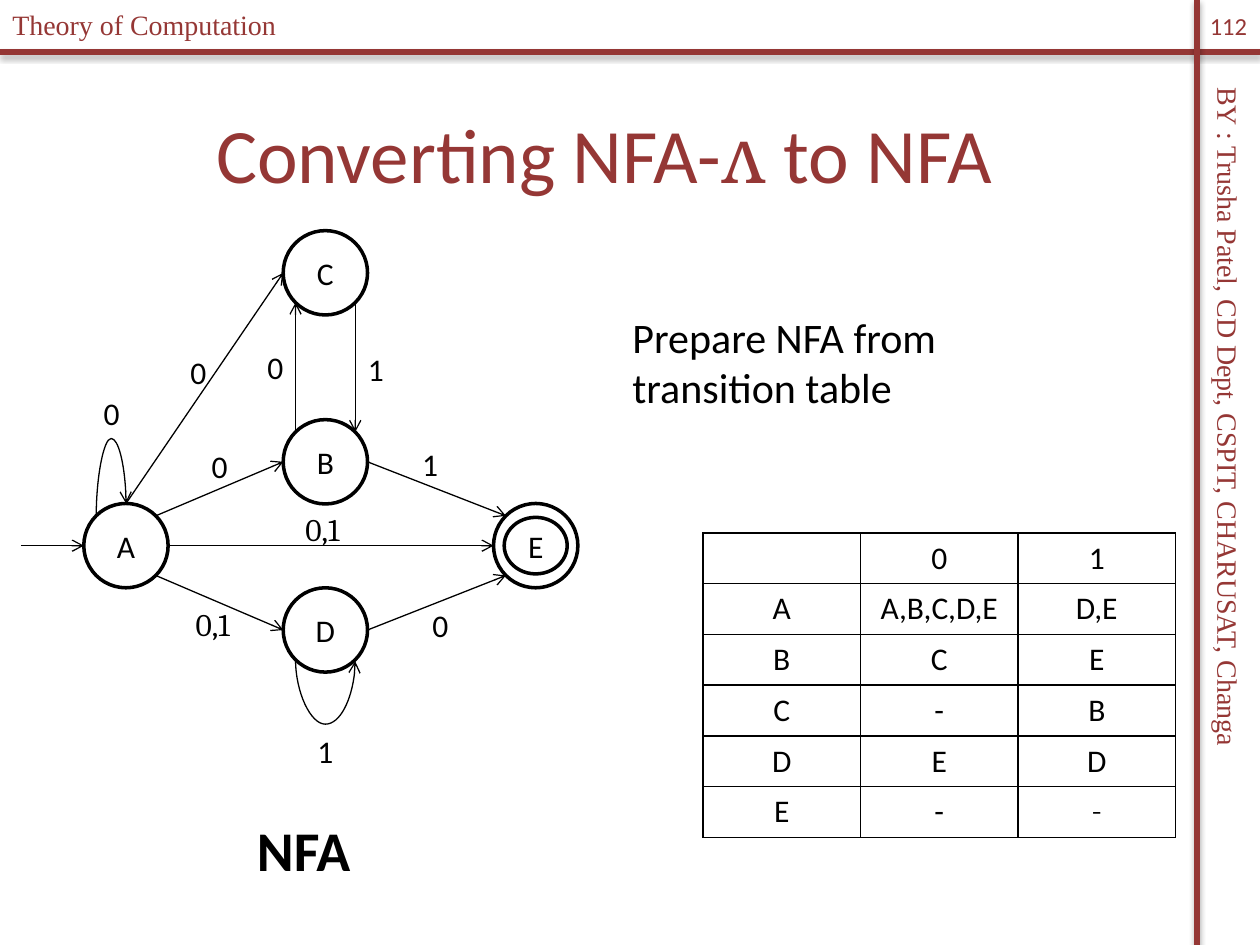
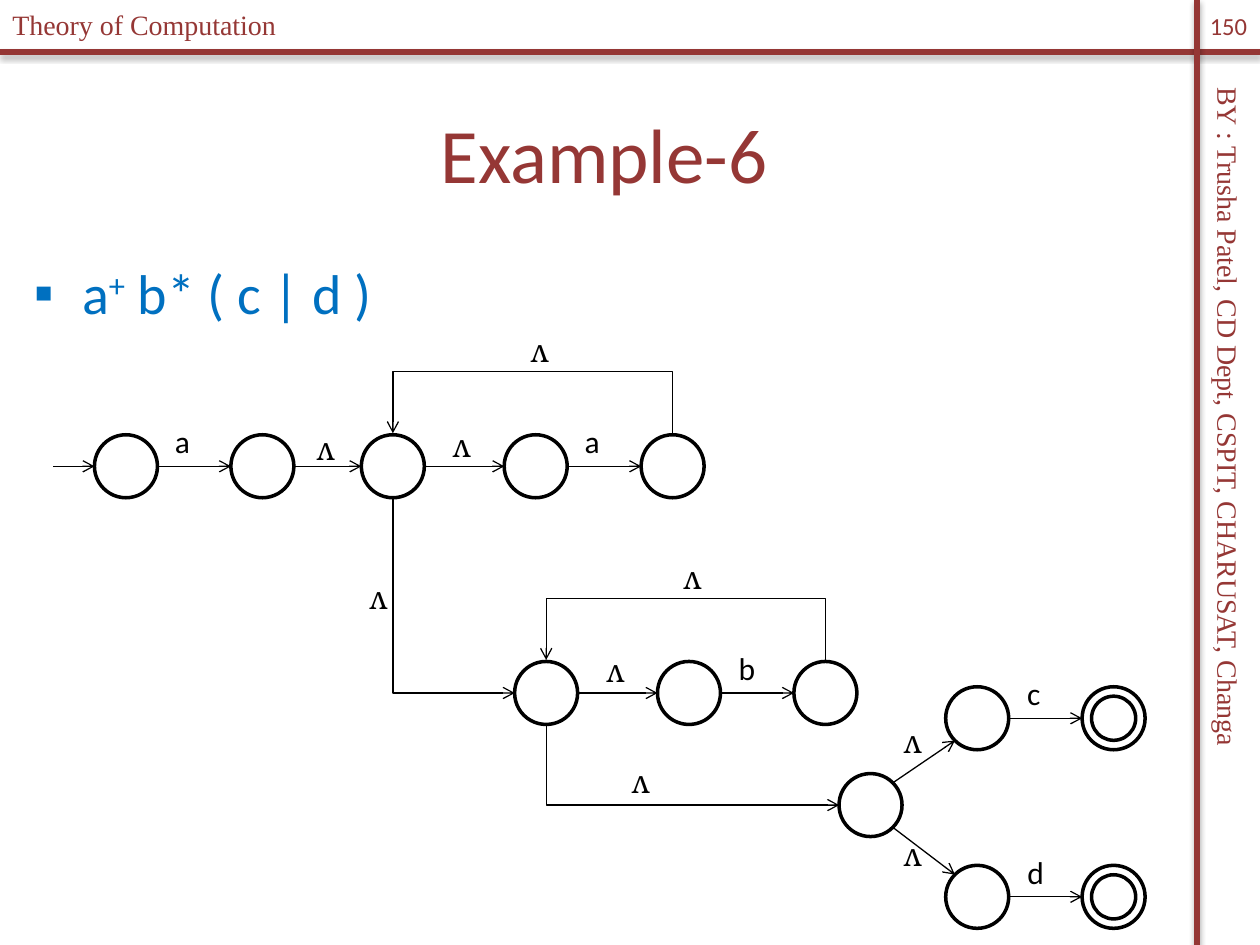
from dataclasses import dataclass
from math import copysign, sqrt

from lxml import etree
from pptx import Presentation
from pptx.dml.color import RGBColor
from pptx.enum.shapes import MSO_CONNECTOR as Link, MSO_SHAPE as Preset
from pptx.enum.text import MSO_ANCHOR as Anchor, PP_ALIGN as Align
from pptx.oxml import parse_xml
from pptx.oxml.ns import nsdecls, qn
from pptx.util import Cm, Pt

MAROON, BLACK, WHITE, BLUE = "953735", "000000", "FFFFFF", "0070C0"
SANS, SERIF, ROMAN = "Calibri", "Cambria", "Times New Roman"
LAMBDA = "ʌ"
DIAGONAL = sqrt(0.5)
SIDES = {
    "n": (0, -1), "s": (0, 1), "w": (-1, 0), "e": (1, 0),
    "nw": (-DIAGONAL, -DIAGONAL), "ne": (DIAGONAL, -DIAGONAL),
    "sw": (-DIAGONAL, DIAGONAL), "se": (DIAGONAL, DIAGONAL),
}


@dataclass
class Box:
    """An area in centimetres."""
    left: float
    top: float
    width: float
    height: float

    def inner(self, left, top, width, height):
        return Box(self.left + left, self.top + top, width, height)

    def around(self, x, y, width, height):
        return self.inner(x - width / 2, y - height / 2, width, height)

    def lengths(self):
        return [Cm(side) for side in (self.left, self.top, self.width, self.height)]


PAGE = Box(0, 0, 25.4, 19.05)
TITLE = Box(0.43, 1.48, 23.5, 3.18)
BODY = Box(0.43, 5.08, 23.5, 13.34)


def color(hex_text):
    return RGBColor.from_string(hex_text)


def add_span(para, text, size, hue=BLACK, font=SANS, bold=False):
    span = para.add_run()
    span.text = text
    span.font.size, span.font.name, span.font.bold = Pt(size), font, bold
    span.font.color.rgb = color(hue)
    return span


def add_text(page, box, lines, size, hue=BLACK, font=SANS, bold=False, centred=False):
    shape = page.shapes.add_textbox(*box.lengths())
    frame = shape.text_frame
    frame.word_wrap = True
    if centred:
        frame.margin_left = frame.margin_right = 0
        frame.vertical_anchor = Anchor.MIDDLE
    for number, line in enumerate(lines):
        para = frame.add_paragraph() if number else frame.paragraphs[0]
        para.alignment = Align.CENTER if centred else Align.LEFT
        add_span(para, line, size, hue, font, bold)
    return shape


def style_line(line, hue, width, shadow=""):
    line.line.color.rgb = color(hue)
    line.line.width = Pt(width)
    line._element.spPr.append(
        parse_xml(f'<a:effectLst {nsdecls("a")}>{shadow}</a:effectLst>'))


def style_arrow(line):
    style_line(line, BLACK, 0.75)
    etree.SubElement(line.line._get_or_add_ln(), qn("a:tailEnd"), type="arrow")


def add_straight(page, kind, start, end):
    return page.shapes.add_connector(kind, *[Cm(value) for value in (*start, *end)])


def add_routed_arrow(page, kind, start, end, bend=None):
    """Leave start vertically; turn at height bend, or at the end's height."""
    (x1, y1), (x2, y2) = start, end
    if y1 == y2:
        y2 += copysign(0.03, bend - y1)
    run, rise = x2 - x1, y2 - y1
    line = add_straight(page, kind, start, end)
    frame = Box((x1 + x2 - abs(rise)) / 2, (y1 + y2 - abs(run)) / 2, abs(rise), abs(run))
    line.left, line.top, line.width, line.height = frame.lengths()
    up_right = run > 0 > rise
    xfrm = line._element.spPr.find(qn("a:xfrm"))
    xfrm.set("rot", str((90 if up_right else 270) * 60000))
    xfrm.set("flipH", str(int(rise > 0 or up_right)))
    xfrm.set("flipV", str(int(run < 0 or up_right)))
    geometry = line._element.spPr.find(qn("a:prstGeom"))
    if bend is None:
        geometry.set("prst", "bentConnector2")
    else:
        guides = geometry.get_or_add_avLst()
        share = round((bend - y1) / rise * 100000)
        etree.SubElement(guides, qn("a:gd"), name="adj1", fmla=f"val {share}")
    style_arrow(line)


def add_circle(page, box, text=""):
    circle = page.shapes.add_shape(Preset.OVAL, *box.lengths())
    circle.shadow.inherit = False
    circle.fill.solid()
    circle.fill.fore_color.rgb = color(WHITE)
    circle.line.color.rgb = color(BLACK)
    circle.line.width = Pt(2)
    if text:
        frame = circle.text_frame
        frame.word_wrap = False
        frame.vertical_anchor = Anchor.MIDDLE
        frame.paragraphs[0].alignment = Align.CENTER
        add_span(frame.paragraphs[0], text, 18)


class Automaton:
    """A state diagram inside a box; states maps names to centres in that box."""

    def __init__(self, page, box, states, radius, ring, finals, named):
        self.page, self.box, self.states, self.radius = page, box, states, radius
        for name, centre in states.items():
            text = name if named else ""
            final = name in finals
            add_circle(page, box.around(*centre, 2 * radius, 2 * radius),
                       "" if final else text)
            if final:
                add_circle(page, box.around(*centre, *ring), text)

    def rim(self, name, side):
        (x, y), (across, down) = self.states[name], SIDES[side]
        return (self.box.left + x + across * self.radius,
                self.box.top + y + down * self.radius)

    def enter(self, name):
        end = self.rim(name, "w")
        style_arrow(add_straight(self.page, Link.STRAIGHT, (self.box.left, end[1]), end))

    def label(self, text, spot):
        font = SERIF if text in (LAMBDA, "0,1") else SANS
        add_text(self.page, self.box.around(*spot, 1.8, 1.02), [text], 18,
                 font=font, centred=True)

    def straight(self, start, side, end, end_side, text, spot):
        style_arrow(add_straight(self.page, Link.STRAIGHT,
                                 self.rim(start, side), self.rim(end, end_side)))
        self.label(text, spot)

    def routed(self, kind, start, side, end, end_side, text, spot, bend=None):
        height = None if bend is None else self.box.top + bend
        add_routed_arrow(self.page, kind, self.rim(start, side),
                         self.rim(end, end_side), height)
        self.label(text, spot)


def draw_nfa(page, box):
    states = {"A": (2.12, 6.35), "B": (6.14, 4.66), "C": (6.14, 0.85),
              "D": (6.14, 8.05), "E": (10.38, 6.35)}
    nfa = Automaton(page, box, states, 0.85, (1.27, 1.14), "E", named=True)
    nfa.enter("A")
    for arrow in (
        ("A", "ne", "B", "w", "0", (4.01, 4.75)),
        ("A", "se", "D", "w", "0,1", (3.87, 7.92)),
        ("D", "e", "E", "sw", "0", (8.46, 7.95)),
        ("B", "e", "E", "nw", "1", (8.25, 4.7)),
        ("B", "nw", "C", "sw", "0", (5.13, 2.74)),
        ("C", "se", "B", "ne", "1", (7.16, 2.79)),
        ("A", "e", "E", "w", "0,1", (6.08, 6.02)),
        ("A", "n", "C", "w", "0", (3.58, 2.84)),
    ):
        nfa.straight(*arrow)
    nfa.routed(Link.CURVE, "A", "nw", "A", "n", "0", (1.83, 3.68), 4.19)
    nfa.routed(Link.CURVE, "D", "sw", "D", "se", "1", (6.14, 10.49), 9.95)
    add_text(page, box.inner(4.51, 11.66, 3, 1.62), ["NFA"], 32, bold=True)


def draw_regex_automaton(page, box):
    rows = {"a": (2.85, (1.47, 4.22, 6.85, 9.73, 12.49)),
            "b": (7.42, (9.94, 12.82, 15.57)),
            "fork": (9.68, (16.48,)),
            "c": (7.93, (18.63, 21.38)),
            "d": (11.53, (18.63, 21.38))}
    states = {f"{row}{number}": (x, y) for row, (y, xs) in rows.items()
              for number, x in enumerate(xs, 1)}
    machine = Automaton(page, box, states, 0.635, (0.89, 0.89), ("c2", "d2"), named=False)
    machine.enter("a1")
    for start, end, text, spot in (
        ("a1", "a2", "a", (2.61, 2.34)),
        ("a2", "a3", LAMBDA, (5.5, 2.49)),
        ("a3", "a4", LAMBDA, (8.24, 2.42)),
        ("a4", "a5", "a", (10.87, 2.34)),
        ("b1", "b2", LAMBDA, (11.34, 6.96)),
        ("b2", "b3", "b", (13.99, 6.91)),
        ("c1", "c2", "c", (19.77, 7.42)),
        ("d1", "d2", "d", (19.81, 11.03)),
    ):
        machine.straight(start, "e", end, "w", text, spot)
    machine.straight("fork1", "ne", "c1", "sw", LAMBDA, (17.33, 8.39))
    machine.straight("fork1", "se", "d1", "nw", LAMBDA, (17.33, 10.67))
    for arrow in (
        ("a5", "n", "a3", "n", LAMBDA, (9.81, 0.51), 0.94),
        ("b3", "n", "b1", "n", LAMBDA, (12.89, 5.08), 5.52),
        ("a3", "s", "b1", "w", LAMBDA, (6.56, 5.49)),
        ("b1", "s", "fork1", "w", LAMBDA, (11.85, 9.2)),
    ):
        machine.routed(Link.ELBOW, *arrow)


def draw_transition_table(page, box):
    rows = (("", "0", "1"), ("A", "A,B,C,D,E", "D,E"), ("B", "C", "E"),
            ("C", "-", "B"), ("D", "E", "D"), ("E", "-", "-"))
    table = page.shapes.add_table(len(rows), 3, *box.lengths()).table
    for row, texts in enumerate(rows):
        for column, text in enumerate(texts):
            cell = table.cell(row, column)
            properties = cell._tc.get_or_add_tcPr()
            for edge in ("lnL", "lnR", "lnT", "lnB"):
                properties.append(parse_xml(
                    f'<a:{edge} {nsdecls("a")} w="12700"><a:solidFill>'
                    f'<a:srgbClr val="{BLACK}"/></a:solidFill></a:{edge}>'))
            cell.fill.background()
            para = cell.text_frame.paragraphs[0]
            para.alignment = Align.CENTER
            if text:
                last = (row, column) == (len(rows) - 1, 2)
                add_span(para, text, 18, font=SERIF if last else SANS)


def dress_master(deck, page, box):
    """Draw the bands and credits on page, then hand them to the master."""
    shadow = ('<a:outerShdw blurRad="40000" dist="23000" dir="5400000" rotWithShape="0">'
              f'<a:srgbClr val="{BLACK}"><a:alpha val="35000"/></a:srgbClr></a:outerShdw>')
    across, down = 1.05, 24.13
    bands = [
        add_straight(page, Link.STRAIGHT, (box.left, across), (box.width, across)),
        add_straight(page, Link.STRAIGHT, (down, box.top), (down, box.height)),
    ]
    for band in bands:
        style_line(band, MAROON, 3, shadow)
    author = add_text(page, box.inner(16.61, 9.19, 16.3, 0.94),
                      ["BY : Trusha Patel, CD Dept, CSPIT, CHARUSAT, Changa"],
                      16, MAROON, ROMAN)
    author.rotation = 90
    course = add_text(page, box.inner(0, 0.03, 8.36, 0.94),
                      ["Theory of Computation"], 16, MAROON, ROMAN)
    for shape in (*bands, author, course):
        deck.slide_master.shapes._spTree.append(shape._element)


def start_page(deck, layout, title, number):
    page = deck.slides.add_slide(deck.slide_layouts[layout])
    heading = page.shapes.title
    heading.left, heading.top, heading.width, heading.height = TITLE.lengths()
    para = heading.text_frame.paragraphs[0]
    para.alignment = Align.CENTER
    for text, font in title:
        add_span(para, text, 44, MAROON, font)
    add_text(page, PAGE.inner(24.13, 0, 1.27, 1.02), [number], 14, MAROON, centred=True)
    return page


def fill_body(page, box):
    body = page.placeholders[1]
    body.left, body.top, body.width, body.height = box.lengths()
    para = body.text_frame.paragraphs[0]
    properties = para._p.get_or_add_pPr()
    properties.set("marL", str(Cm(0.97)))
    properties.set("indent", str(-Cm(0.97)))
    etree.SubElement(properties, qn("a:buChar"), char="▪")
    add_span(para, "a", 32, BLUE)
    plus = add_span(para, "+", 32, BLUE)
    plus.font._element.set("baseline", "30000")
    add_span(para, " b* ( c | d )", 32, BLUE)


def main():
    deck = Presentation()
    deck.slide_width, deck.slide_height = Cm(PAGE.width), Cm(PAGE.height)

    page = start_page(deck, 5, [("Converting NFA-", SANS), (LAMBDA, SERIF),
                                (" to NFA", SANS)], "112")
    dress_master(deck, page, PAGE)
    add_text(page, PAGE.inner(12.5, 6.15, 8, 2.31),
             ["Prepare NFA from", "transition table"], 24)
    draw_transition_table(page, PAGE.inner(14.17, 10.74, 9.53, 6.14))
    draw_nfa(page, PAGE.inner(0.42, 4.65, 11.24, 13.28))

    page = start_page(deck, 1, [("Example-6", SANS)], "150")
    fill_body(page, BODY)
    draw_regex_automaton(page, PAGE.inner(1.07, 6.55, 22.02, 12.17))

    deck.save("out.pptx")


if __name__ == "__main__":
    main()
